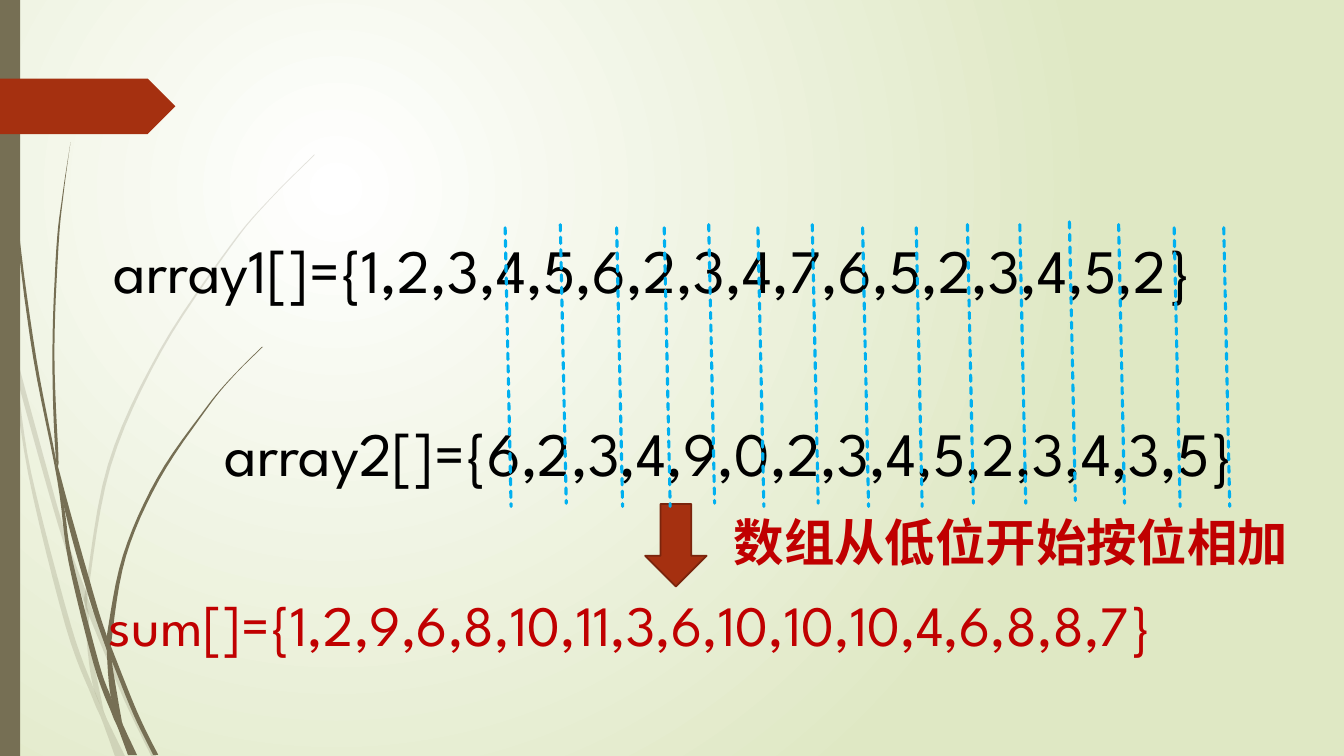
"""Slide that lines up two digit arrays and shows their digit-wise sum."""
from lxml.etree import SubElement
from pptx import Presentation
from pptx.dml.color import RGBColor
from pptx.enum.dml import MSO_LINE as Dash
from pptx.enum.shapes import MSO_CONNECTOR as Link, MSO_SHAPE as Kind
from pptx.oxml.ns import qn
from pptx.util import Cm, Pt

FONT = "League Spartan"
OLIVE, RUST, RED, BLUE = "766F54", "A53010", "C00000", "00B0F0"
ROWS = [
    ("array1[]={1,2,3,4,5,6,2,3,4,7,6,5,2,3,4,5,2}", (2.62, 5.72, 29.62, 2.16), 44, "000000"),
    ("array2[]={6,2,3,4,9,0,2,3,4,5,2,3,4,3,5}", (5.41, 10.33, 28.45, 2.16), 44, "000000"),
    ("sum[]={1,2,9,6,8,10,11,3,6,10,10,10,4,6,8,8,7}", (2.49, 14.74, 30.73, 2.16), 40.7, RED),
]
NOTE = ("数组从低位开始按位相加", (18.24, 12.75, 15.09, 1.8))
GUIDES = [
    (12.73, 5.74), (14.12, 5.66), (15.54, 5.74), (16.74, 5.74), (17.86, 5.66),
    (19.1, 5.74), (20.47, 5.66), (21.74, 5.74), (23.09, 5.74), (24.38, 5.66),
    (25.7, 5.66), (26.95, 5.59), (28.19, 5.66), (29.59, 5.74), (30.84, 5.74),
]
PALE = [
    ([(0, 2.82), (.09, 3.22), (.14, 3.45), (.62, 5.2), (.85, 5.86), (.88, 5.96),
      (1.27, 6.92), (1.55, 7.5)],
     [(1.5, 7.5), (1.23, 6.94), (.88, 6.1), (.84, 5.99), (.58, 5.22), (.17, 3.76),
      (.11, 3.5), (0, 2.99)]),
    ([(.11, 3.5), (.17, 3.76), (.31, 4.69), (.7, 6.19), (.93, 6.83), (1.05, 7.11),
      (1.24, 7.5)],
     [(1.14, 7.5), (1.01, 7.14), (.92, 6.93), (.65, 6.21), (.28, 4.7), (.11, 3.5)]),
    ([(3.12, 1.53), (2.68, 1.97), (2.28, 2.44), (1.58, 3.48), (1.07, 4.61),
      (.85, 5.84), (.84, 5.99), (.87, 6.46), (.93, 6.83), (1.05, 7.11)],
     [(1.03, 7.06), (.91, 6.46), (.88, 6.1), (.88, 5.84), (1.1, 4.62), (1.6, 3.49),
      (2.29, 2.45), (2.68, 1.98), (3.12, 1.54)]),
]
DARK = [
    ([(.04, 0), (.08, 1.09), (.19, 2.32), (.36, 3.55), (.55, 4.53), (.64, 5.05),
      (.72, 5.56), (.98, 6.57), (1.1, 6.91), (1.22, 7.19), (1.36, 7.49)],
     [(1.27, 7.49), (1.17, 7.22), (1.11, 7.08), (.93, 6.59), (.68, 5.57), (.57, 4.77),
      (.33, 3.55), (.17, 2.33), (.07, 1.1), (.03, 0)]),
    ([(.7, 1.41), (.63, 1.93), (.58, 2.45), (.54, 3.49), (.58, 4.53), (.6, 4.72),
      (.93, 5.9), (1.06, 6.31), (1.1, 6.41), (1.36, 7.06), (1.57, 7.49)],
     [(1.52, 7.49), (1.32, 7.08), (1.11, 6.56), (1.06, 6.45), (.88, 5.92), (.64, 5.05),
      (.55, 4.49), (.52, 3.49), (.56, 2.45), (.62, 1.93), (.7, 1.41)]),
    ([(2.6, 3.44), (2.31, 3.73), (2.04, 4.05), (1.56, 4.74), (1.22, 5.51), (1.06, 6.31),
      (1.06, 6.45), (1.1, 6.91), (1.22, 7.19)],
     [(1.21, 7.16), (1.11, 6.56), (1.11, 6.33), (1.25, 5.52), (1.58, 4.76), (2.05, 4.06),
      (2.31, 3.74), (2.61, 3.44)]),
]


def tint(hue):
    return RGBColor.from_string(hue)


def paint(shape, hue, edge=None):
    shape.shadow.inherit = False
    shape.fill.solid()
    shape.fill.fore_color.rgb = tint(hue)
    if edge:
        shape.line.color.rgb = tint(edge)
        shape.line.width = Pt(1.25)
    else:
        shape.line.fill.background()


def block(slide, kind, box, hue, edge=None):
    paint(slide.shapes.add_shape(kind, *map(Cm, box)), hue, edge)


def curve(knots, steps=6):
    """Return points of a smooth line through the knots, in thousandths."""
    ends = [knots[0], *knots, knots[-1]]
    dots = [knots[0]]
    for a, b, c, d in zip(ends, ends[1:], ends[2:], ends[3:]):
        for i in range(1, steps + 1):
            t = i / steps
            dots.append(tuple(
                q + t / 2 * (r - p + t * (2 * p - 5 * q + 4 * r - s + t * (3 * q - p - 3 * r + s)))
                for p, q, r, s in zip(a, b, c, d)))
    return [(x * 1000, y * 1000) for x, y in dots]


def wisp(slide, sides, alpha=None):
    dots = curve(sides[0]) + curve(sides[1])
    pen = slide.shapes.build_freeform(*dots[0], scale=Cm(2.54) / 1000)
    pen.add_line_segments(dots[1:], close=True)
    leaf = pen.convert_to_shape()
    paint(leaf, OLIVE)
    if alpha:
        hue = leaf._element.spPr.find(".//" + qn("a:srgbClr"))
        SubElement(hue, qn("a:alpha"), val=str(alpha * 1000))


def write(slide, text, box, size=36, hue=RED, bold=False):
    frame = slide.shapes.add_textbox(*map(Cm, box)).text_frame
    frame.word_wrap = True
    run = frame.paragraphs[0].add_run()
    run.text = text
    run.font.name, run.font.size, run.font.bold = FONT, Pt(size), bold
    run.font.color.rgb = tint(hue)


def guide(slide, x, y):
    line = slide.shapes.add_connector(
        Link.STRAIGHT, Cm(x), Cm(y), Cm(x + .15), Cm(y + 7.02))
    line.line.color.rgb = tint(BLUE)
    line.line.width = Pt(2.25)
    line.line.dash_style = Dash.SQUARE_DOT
    props = line._element.spPr
    props.find(qn("a:ln")).set("cap", "rnd")
    SubElement(props, qn("a:effectLst"))


def backdrop(slide):
    fill = slide.background.fill
    fill.gradient()
    for stop, hue in zip(fill.gradient_stops, ("FFFFFF", "DFE8C4")):
        stop.color.rgb = tint(hue)
    lin = slide.element.find(".//" + qn("a:lin"))
    grad = lin.getparent()
    grad.remove(lin)
    ring = SubElement(grad, qn("a:path"), path="circle")
    SubElement(ring, qn("a:fillToRect"), l="50000", t="50000", r="100000", b="100000")


def main():
    deck = Presentation()
    deck.slide_width, deck.slide_height = Cm(33.87), Cm(19.05)
    slide = deck.slides.add_slide(deck.slide_layouts[6])
    backdrop(slide)
    for sides in PALE:
        wisp(slide, sides, alpha=20)
    for sides in DARK:
        wisp(slide, sides)
    block(slide, Kind.RECTANGLE, (0, 0, .51, 19.05), OLIVE)
    block(slide, Kind.PENTAGON, (0, 1.98, 4.42, 1.4), RUST)
    for text, box, size, hue in ROWS:
        write(slide, text, box, size=size, hue=hue)
    block(slide, Kind.DOWN_ARROW, (16.26, 12.7, 1.55, 2.08), RUST, "7A240C")
    write(slide, *NOTE, bold=True)
    for x, y in GUIDES:
        guide(slide, x, y)
    deck.save("out.pptx")


if __name__ == "__main__":
    main()
